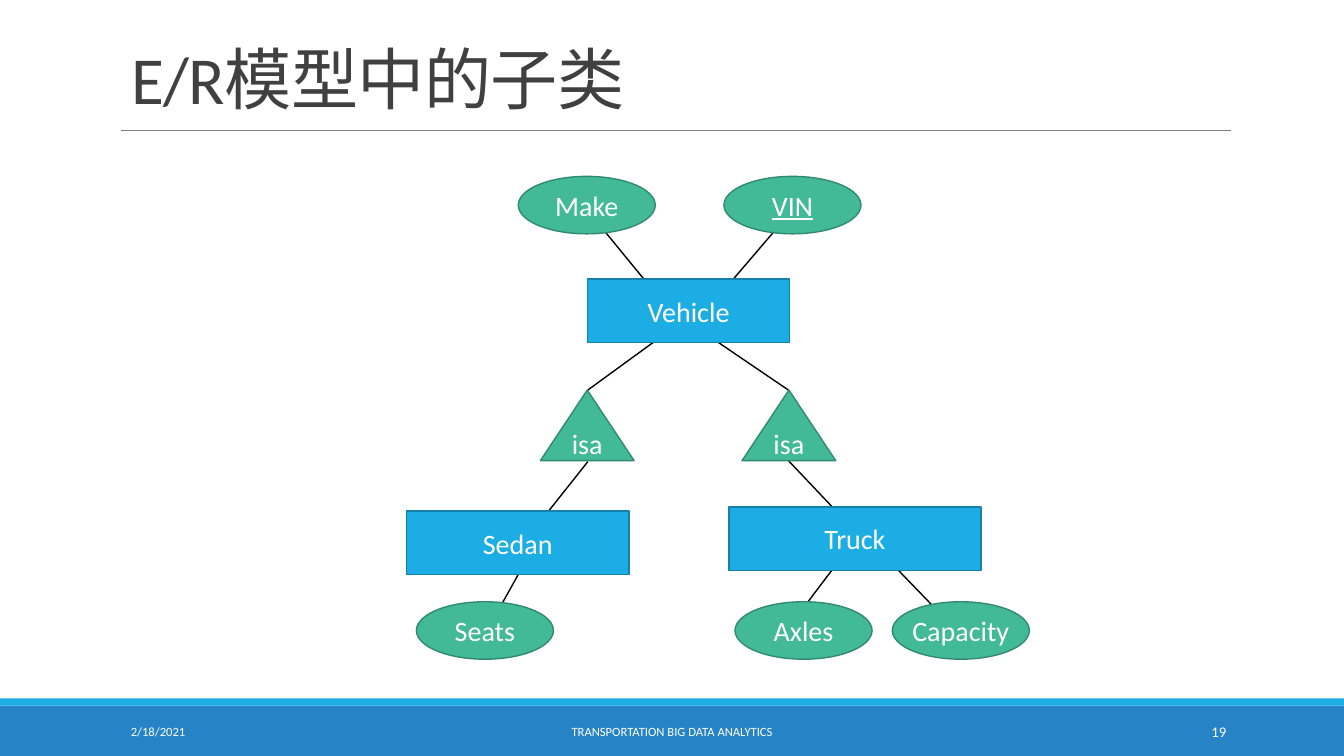
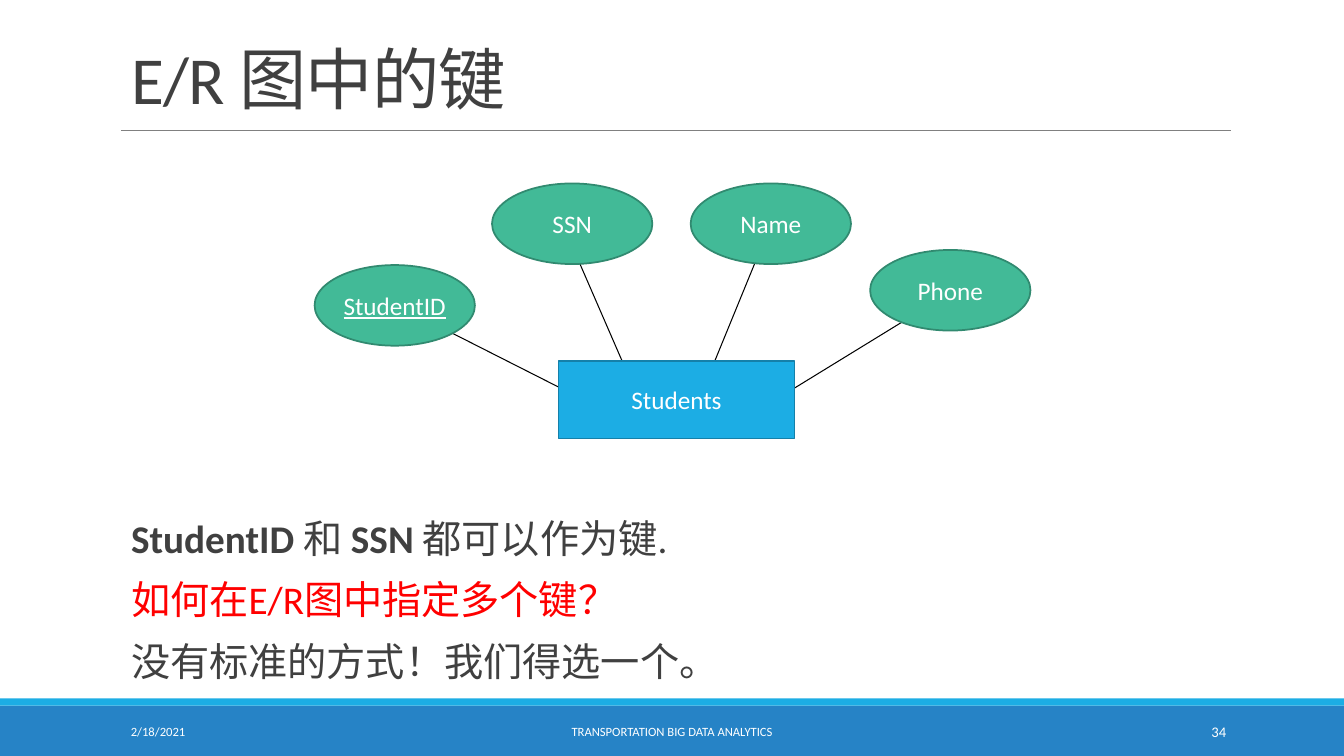
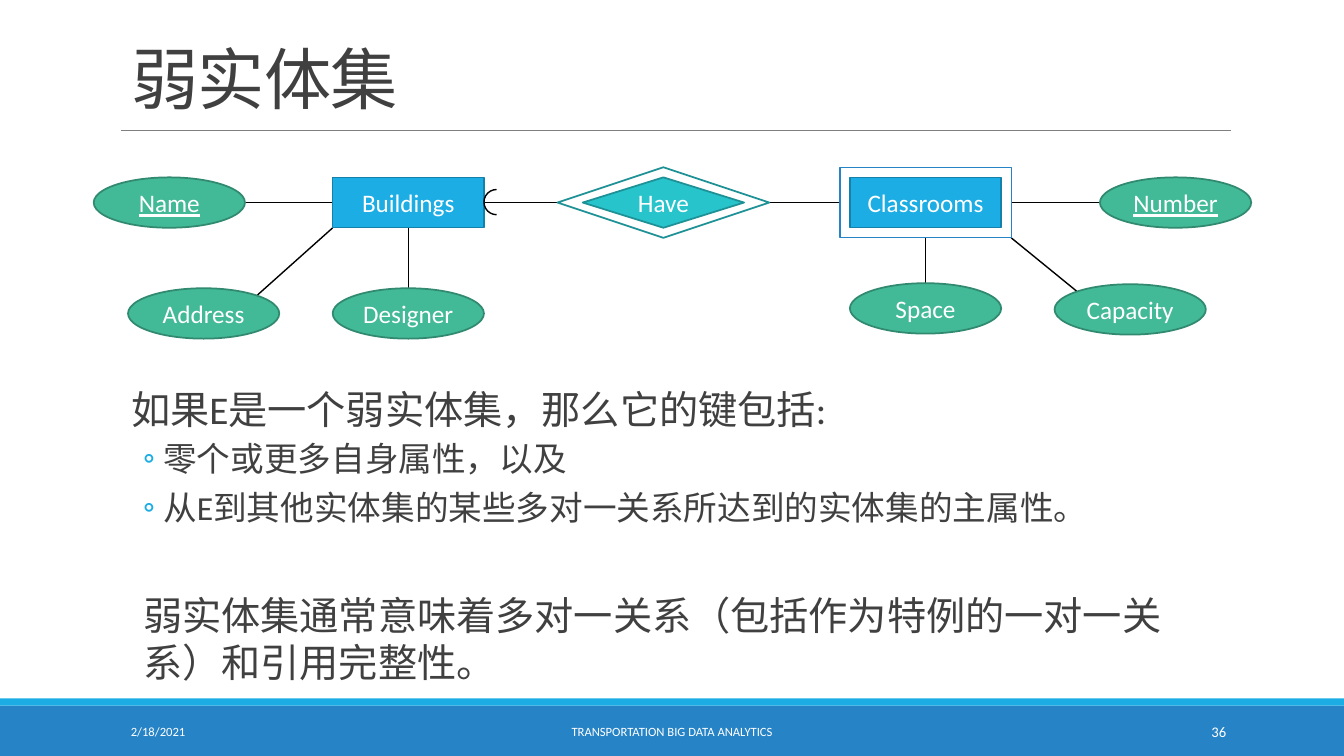
import dataclasses

import lxml.etree
import pptx
import pptx.dml.color
import pptx.enum.shapes
import pptx.enum.text
import pptx.oxml.ns
import pptx.util

Inches = pptx.util.Inches
Pt = pptx.util.Pt
RGB = pptx.dml.color.RGBColor.from_string
qn = pptx.oxml.ns.qn
SHAPE = pptx.enum.shapes.MSO_SHAPE
ALIGN = pptx.enum.text.PP_ALIGN
ANCHOR = pptx.enum.text.MSO_ANCHOR
FIT_NONE = pptx.enum.text.MSO_AUTO_SIZE.NONE


@dataclasses.dataclass(frozen=True)
class Theme:
    font: str = "Calibri"
    ink: str = "404040"
    white: str = "FFFFFF"
    black: str = "000000"
    alert: str = "FF0000"
    rule: str = "808080"
    footer: str = "2683C6"
    accent: str = "1CADE4"
    entity: tuple = ("1CADE4", "1580A9")
    attribute: tuple = ("42BA97", "318A70")
    relation: tuple = ("28C4CC", "1E9197")
    title_size: float = 48
    body_size: float = 28
    item_size: float = 24
    node_size: float = 20
    small_node_size: float = 18
    footer_size: float = 9
    number_size: float = 10.5


class Deck:
    def __init__(self, theme):
        self.theme = theme
        self.prs = pptx.Presentation()
        self.prs.slide_width = Inches(13.33)
        self.prs.slide_height = Inches(7.5)
        self.slide = None
        self.node_size = theme.node_size

    def new_slide(self, title, number, node_size, has_body=True):
        layout = self.prs.slide_layouts[1 if has_body else 5]
        self.slide = self.prs.slides.add_slide(layout)
        self.node_size = node_size
        self.shape(SHAPE.RECTANGLE, (0, 7, 13.33, 0.5), self.theme.footer)
        self.shape(SHAPE.RECTANGLE, (0, 6.93, 13.33, 0.07), self.theme.accent)
        self.link((1.2, 1.29), (12.21, 1.29), 0.5, self.theme.rule)
        self.title(title)
        self.footer_text("2/18/2021", 1.2, 2.7, ALIGN.LEFT)
        self.footer_text("TRANSPORTATION BIG DATA ANALYTICS", 4.03, 5.27, ALIGN.CENTER)
        self.footer_text(str(number), 10.83, 1.43, ALIGN.RIGHT, self.theme.number_size)

    def style(self, run, size, color, bold=False, underline=False):
        run.font.name = self.theme.font
        run.font.size = Pt(size)
        run.font.color.rgb = RGB(color)
        run.font.bold = bold
        run.font.underline = underline

    def place(self, item, box):
        item.left, item.top, item.width, item.height = map(Inches, box)

    def title(self, text):
        heading = self.slide.shapes.title
        self.place(heading, (1.2, 0.13, 11, 1.09))
        frame = heading.text_frame
        frame.text = text
        frame.auto_size = FIT_NONE
        frame.vertical_anchor = ANCHOR.BOTTOM
        paragraph = frame.paragraphs[0]
        paragraph.alignment = ALIGN.LEFT
        paragraph.line_spacing = 0.85
        run = paragraph.runs[0]
        self.style(run, self.theme.title_size, self.theme.ink)
        run.font._element.set("spc", "-50")

    def footer_text(self, text, left, width, align, size=None):
        label = self.slide.shapes.add_textbox(
            Inches(left), Inches(7.06), Inches(width), Inches(0.4))
        frame = label.text_frame
        frame.text = text
        frame.word_wrap = True
        frame.vertical_anchor = ANCHOR.MIDDLE
        frame.paragraphs[0].alignment = align
        self.style(frame.paragraphs[0].runs[0], size or self.theme.footer_size, self.theme.white)

    def shape(self, kind, box, fill=None, line=None, weight=1):
        item = self.slide.shapes.add_shape(kind, *map(Inches, box))
        item.shadow.inherit = False
        if fill:
            item.fill.solid()
            item.fill.fore_color.rgb = RGB(fill)
        else:
            item.fill.background()
        if line:
            item.line.color.rgb = RGB(line)
            item.line.width = Pt(weight)
        else:
            item.line.fill.background()
        return item

    def node(self, kind, text, box, colors, weight=1, key=False):
        frame = self.shape(kind, box, *colors, weight).text_frame
        frame.text = text
        frame.word_wrap = False
        frame.vertical_anchor = ANCHOR.MIDDLE
        frame.paragraphs[0].alignment = ALIGN.CENTER
        self.style(frame.paragraphs[0].runs[0], self.node_size, self.theme.white, underline=key)

    def entity(self, text, box, weight=1):
        self.node(SHAPE.RECTANGLE, text, box, self.theme.entity, weight)

    def attributes(self, items, size, weight=1, key=None):
        for text, left, top in items:
            self.node(SHAPE.OVAL, text, (left, top, *size), self.theme.attribute,
                      weight, text == key)

    def frame_around(self, kind, box, gap_x, gap_y, line, weight):
        left, top, width, height = box
        outer = (left - gap_x, top - gap_y, width + 2 * gap_x, height + 2 * gap_y)
        self.shape(kind, outer, None, line, weight)

    def link(self, start, end, weight=1, color=None):
        line = self.slide.shapes.add_connector(
            pptx.enum.shapes.MSO_CONNECTOR.STRAIGHT, *map(Inches, (*start, *end)))
        line.line.color.rgb = RGB(color or self.theme.black)
        line.line.width = Pt(weight)
        lxml.etree.SubElement(line._element.spPr, qn("a:effectLst"))

    def links(self, pairs, weight=1):
        for start, end in pairs:
            self.link(start, end, weight)

    def half_circle(self, box):
        arc = self.shape(SHAPE.ARC, box, None, self.theme.black)
        arc.adjustments[0] = 54
        arc.adjustments[1] = 162

    def body(self, box):
        content = self.slide.placeholders[1]
        self.place(content, box)
        frame = content.text_frame
        frame.auto_size = FIT_NONE
        frame.vertical_anchor = ANCHOR.TOP
        frame.margin_left = frame.margin_right = 0
        return frame

    def paragraph(self, frame, parts, size, color=None, spacing=1.0,
                  before=12, after=2, margin=0.1, bullet=None):
        first = not frame.text
        paragraph = frame.paragraphs[0] if first else frame.add_paragraph()
        paragraph.line_spacing = spacing
        paragraph.space_before = Pt(before)
        paragraph.space_after = Pt(after)
        for text, bold in parts:
            run = paragraph.add_run()
            run.text = text
            self.style(run, size, color or self.theme.ink, bold)
        props = paragraph._p.get_or_add_pPr()
        props.set("marL", str(Inches(margin)))
        props.set("indent", str(Inches(-0.2 if bullet else 0)))
        if bullet:
            tint = lxml.etree.SubElement(props, qn("a:buClr"))
            lxml.etree.SubElement(tint, qn("a:srgbClr")).set("val", self.theme.accent)
            lxml.etree.SubElement(props, qn("a:buFont")).set("typeface", self.theme.font)
            lxml.etree.SubElement(props, qn("a:buChar")).set("char", bullet)
        else:
            lxml.etree.SubElement(props, qn("a:buNone"))
        return paragraph


def subclasses(deck):
    theme = deck.theme
    deck.new_slide("E/R模型中的子类", 19, theme.node_size, has_body=False)
    deck.links([
        ((6.6, 3.03), (5.83, 2.09)), ((7.05, 3.03), (7.82, 2.13)),
        ((6.79, 3.17), (5.83, 3.87)), ((6.79, 3.17), (7.82, 3.87)),
        ((5.83, 4.58), (5.14, 5.45)), ((7.82, 4.57), (8.53, 5.32)),
        ((5.14, 5.7), (4.8, 6.31)), ((8.4, 5.46), (7.9, 6.12)),
        ((8.71, 5.45), (9.54, 6.31)),
    ])
    for left in (5.36, 7.36):
        deck.node(SHAPE.ISOSCELES_TRIANGLE, "isa", (left, 3.87, 0.93, 0.7), theme.attribute)
    for text, left, top, width in (
            ("Vehicle", 5.83, 2.77, 2), ("Sedan", 4.03, 5.07, 2.21), ("Truck", 7.23, 5.03, 2.5)):
        deck.entity(text, (left, top, width, 0.63))
    deck.attributes([
        ("Make", 5.14, 1.75), ("VIN", 7.18, 1.75), ("Seats", 4.13, 5.97),
        ("Axles", 7.29, 5.97), ("Capacity", 8.85, 5.97),
    ], (1.36, 0.57), key="VIN")


def keys(deck):
    theme = deck.theme
    deck.new_slide("E/R 图中的键", 34, theme.small_node_size)
    deck.links([
        ((7.88, 3.85), (9.33, 2.96)), ((5.54, 3.84), (4.06, 3.09)),
        ((6.17, 3.58), (5.64, 2.36)), ((7.09, 3.58), (7.61, 2.31)),
    ], 0.75)
    deck.entity("Students", (5.54, 3.58, 2.34, 0.77), 1.25)
    deck.attributes([
        ("StudentID", 3.12, 2.63), ("SSN", 4.88, 1.82),
        ("Name", 6.85, 1.82), ("Phone", 8.63, 2.48),
    ], (1.59, 0.8), 1.25, key="StudentID")
    notes = deck.body((1.2, 5.1, 11, 1.79))
    for parts, color in (
            ([("StudentID ", True), ("和 ", False), ("SSN ", True), ("都可以作为键.", False)],
             theme.ink),
            ([("如何在E/R图中指定多个键？", False)], theme.alert),
            ([("没有标准的方式！我们得选一个。", False)], theme.ink)):
        deck.paragraph(notes, parts, theme.body_size, color, spacing=0.9)


def weak_entities(deck):
    theme = deck.theme
    deck.new_slide("弱实体集", 36, theme.small_node_size)
    rules = deck.body((1.2, 3.77, 11, 3.12))
    deck.paragraph(rules, [("如果E是一个弱实体集，那么它的键包括:", False)], theme.body_size)
    for text in ("零个或更多自身属性，以及",
                 "从E到其他实体集的某些多对一关系所达到的实体集的主属性。"):
        deck.paragraph(rules, [(text, False)], theme.item_size,
                       before=2, after=4, margin=0.42, bullet="◦")
    deck.paragraph(
        rules, [("弱实体集通常意味着多对一关系（包括作为特例的一对一关系）和引用完整性。", False)],
        theme.body_size, before=42, after=4, margin=0.22)

    deck.links([
        ((2.43, 2.01), (3.3, 2.01)), ((4.8, 2.01), (5.53, 2.01)),
        ((7.63, 2.01), (8.33, 2.01)), ((10.03, 2.01), (10.91, 2.01)),
        ((4.05, 2.26), (4.05, 2.86)), ((3.3, 2.26), (2.55, 2.93)),
        ((9.18, 2.36), (9.18, 2.81)), ((10.03, 2.36), (10.68, 2.89)),
    ])
    classrooms = (8.43, 1.76, 1.5, 0.5)
    have = (5.78, 1.76, 1.6, 0.5)
    deck.entity("Buildings", (3.3, 1.76, 1.5, 0.5))
    deck.entity("Classrooms", classrooms)
    deck.frame_around(SHAPE.RECTANGLE, classrooms, 0.1, 0.1, theme.footer, 1)
    deck.node(SHAPE.DIAMOND, "Have", have, theme.relation, 1.25)
    deck.frame_around(SHAPE.DIAMOND, have, 0.25, 0.1, theme.relation[1], 1.25)
    oval = (1.5, 0.5)
    deck.attributes([("Name", 0.93, 1.76), ("Address", 1.27, 2.86), ("Designer", 3.3, 2.86)],
                    oval, 1.25, key="Name")
    deck.attributes([("Number", 10.91, 1.76), ("Space", 8.43, 2.81), ("Capacity", 10.46, 2.82)],
                    oval, 1.25, key="Number")
    deck.half_circle((4.8, 1.88, 0.25, 0.25))


def main():
    deck = Deck(Theme())
    subclasses(deck)
    keys(deck)
    weak_entities(deck)
    deck.prs.save("out.pptx")


if __name__ == "__main__":
    main()
